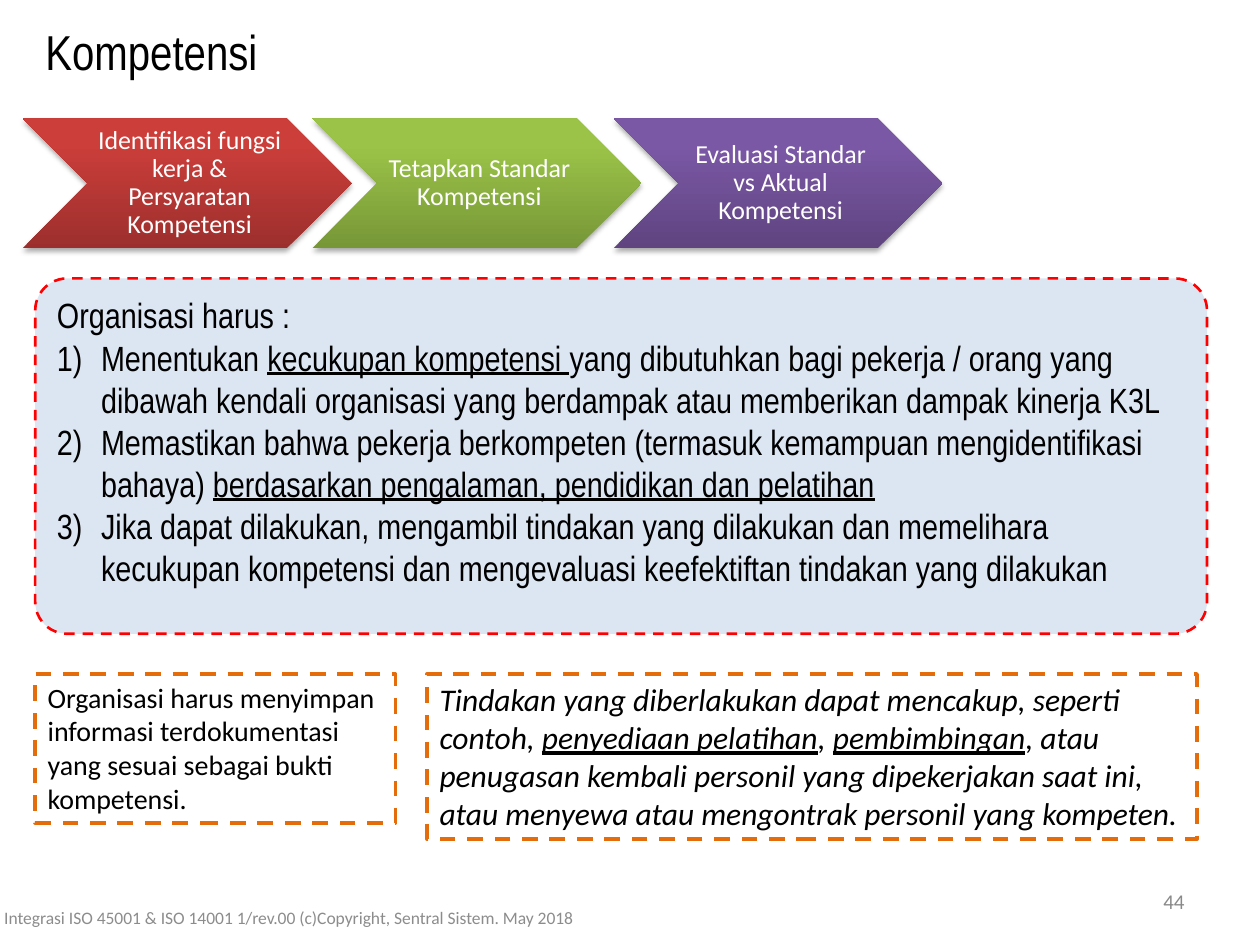
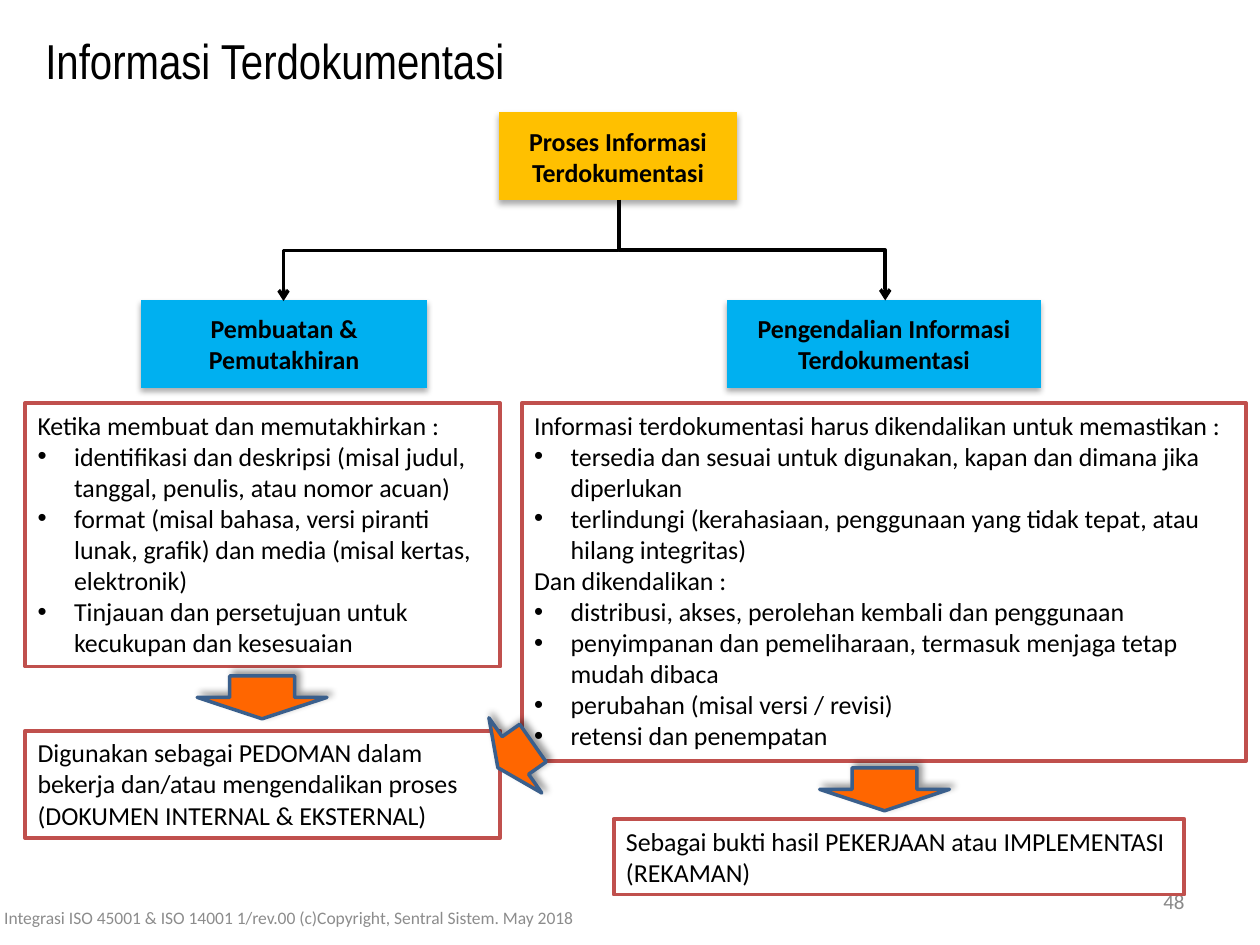
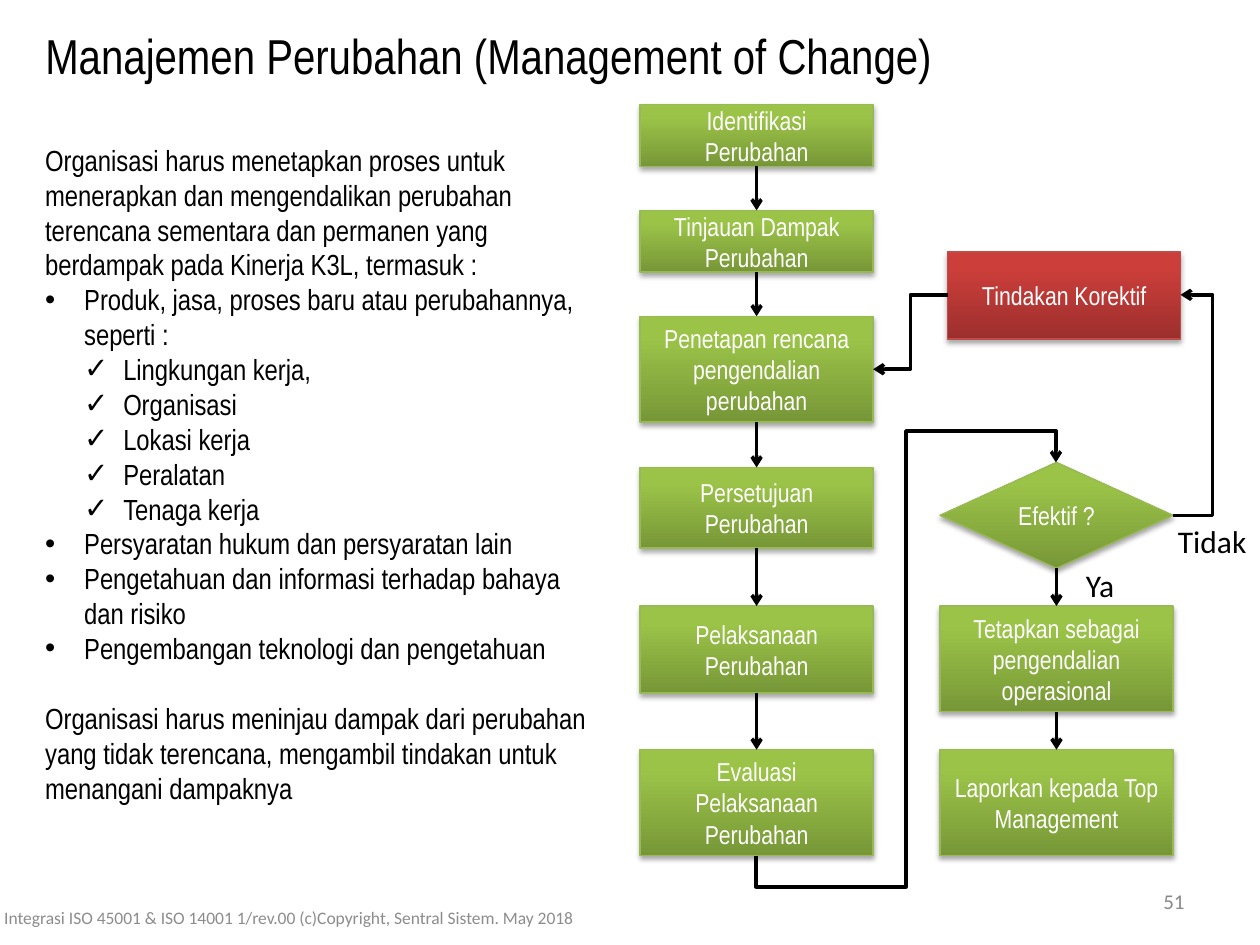
import lxml.etree
import pptx
import pptx.dml.color
import pptx.enum.dml
import pptx.enum.shapes
import pptx.enum.text
import pptx.oxml.ns
import pptx.util

PX = 9144  # EMU in one px, 100 px to the inch
SHAPE = pptx.enum.shapes.MSO_SHAPE
ALIGN = pptx.enum.text.PP_ALIGN
ANCHOR = pptx.enum.text.MSO_ANCHOR
DASH = pptx.enum.dml.MSO_LINE.DASH
rgb = pptx.dml.color.RGBColor.from_string
qn = pptx.oxml.ns.qn
sub = lxml.etree.SubElement

NARROW = "Arial Narrow"
BLACK, WHITE = "000000", "FFFFFF"
GREEN = ("779737", "9BC348")
RED = ("9C2F2D", "CB3E3A")
PURPLE = ("5F4480", "7B58A6")
SOFT_SHADOW = (35, 3.1, 1.8, 90)
HEAD_SHADOW = (32, 3.5, 2.2, 90)
ARROW_SHADOW = (40, 4, 3, 315)
FOOTER = "Integrasi ISO 45001 & ISO 14001 1/rev.00 (c)Copyright, Sentral Sistem. May 2018"


def add_box(s, kind, x, y, w, h, paras=(), size=14.8, font="Calibri", color=BLACK,
            align=ALIGN.LEFT, bold=None, italic=None, indent=29,
            fill=None, line=None, shadow=None):
    """Add a shape, or a text box if kind is None.

    A paragraph is a text or a (bullet, text) pair; _underscores_ underline.
    A pair of colours as fill makes a gradient from bottom to top.
    """
    box = [v * PX for v in (x, y, w, h)]
    if kind is None:
        sp = s.shapes.add_textbox(*box)
    else:
        sp = s.shapes.add_shape(kind, *box)
        sp.shadow.inherit = False
        if isinstance(fill, tuple):
            sp.fill.gradient()
            sp.fill.gradient_angle = 90
            for stop, position, shade in zip(sp.fill.gradient_stops, (0, 0.8), fill):
                stop.position = position
                stop.color.rgb = rgb(shade)
        elif fill:
            sp.fill.solid()
            sp.fill.fore_color.rgb = rgb(fill)
        else:
            sp.fill.background()
        if line:
            sp.line.color.rgb = rgb(line[0])
            sp.line.width = pptx.util.Pt(line[1])
        else:
            sp.line.fill.background()
    if shadow:
        alpha, blur, dist, angle = shadow
        effects = sp._element.spPr.find(qn("a:effectLst"))
        outer = sub(effects, qn("a:outerShdw"), blurRad=str(pptx.util.Pt(blur)),
                    dist=str(pptx.util.Pt(dist)), dir=str(angle * 60000), rotWithShape="0")
        shade = sub(outer, qn("a:srgbClr"), val=BLACK)
        sub(shade, qn("a:alpha"), val=str(alpha * 1000))

    tf = sp.text_frame
    tf.word_wrap = True
    tf.vertical_anchor = ANCHOR.TOP if align == ALIGN.LEFT else ANCHOR.MIDDLE
    for i, para in enumerate(paras):
        bullet, text = para if isinstance(para, tuple) else (None, para)
        p = tf.add_paragraph() if i else tf.paragraphs[0]
        p.alignment = align
        if bullet:
            pPr = p._p.get_or_add_pPr()
            pPr.set("marL", str(indent * PX * (2 if bullet == "✓" else 1)))
            pPr.set("indent", str(-indent * PX))
            if bullet == "1)":
                sub(pPr, qn("a:buAutoNum"), type="arabicParenR")
            else:
                sub(pPr, qn("a:buFont"), typeface="Arial")
                sub(pPr, qn("a:buChar"), char=bullet)
        for j, piece in enumerate(text.split("_")):
            if piece:
                r = p.add_run()
                r.text = piece
                if j % 2:
                    r.font.underline = True
        p.font.name = font
        p.font.size = pptx.util.Pt(size)
        p.font.color.rgb = rgb(color)
        p.font.bold = bold
        p.font.italic = italic
    return sp


def add_arrow(s, start=None, end=None, frame=(0, 0, 0, 0), rot=0, flip="", adj=()):
    """Join two shapes downwards, or draw an elbow in a frame, with bends at adj."""
    kinds = pptx.enum.shapes.MSO_CONNECTOR
    x, y, w, h = (v * PX for v in frame)
    c = s.shapes.add_connector(kinds.ELBOW if adj else kinds.STRAIGHT, x, y, x + w, y + h)
    spPr = c._element.spPr
    if adj:
        xfrm = spPr.find(qn("a:xfrm"))
        xfrm.set("rot", str(rot * 60000))
        for axis in flip:
            xfrm.set("flip" + axis, "1")
        geom = spPr.find(qn("a:prstGeom"))
        geom.set("prst", f"bentConnector{len(adj) + 2}")
        guides = geom.find(qn("a:avLst"))
        if guides is None:
            guides = sub(geom, qn("a:avLst"))
        for i, value in enumerate(adj, 1):
            sub(guides, qn("a:gd"), name=f"adj{i}", fmla=f"val {round(value * 100000)}")
    else:
        c.begin_connect(start, 2)
        c.end_connect(end, 0)
    c.line.color.rgb = rgb(BLACK)
    c.line.width = pptx.util.Pt(2)
    sub(c.line._get_or_add_ln(), qn("a:tailEnd"), type="arrow")
    sub(spPr, qn("a:effectLst"))


prs = pptx.Presentation()
prs.slide_width = 1000 * PX
prs.slide_height = 750 * PX

slides = []
for title, top, width, number in (
    ("Kompetensi", 12, 791, "44"),
    ("Informasi Terdokumentasi", 19, 791, "48"),
    ("Manajemen Perubahan (Management of Change)", 15, 974, "51"),
):
    s = prs.slides.add_slide(prs.slide_layouts[5])
    sp = s.shapes.title
    sp.left, sp.top, sp.width, sp.height = (v * PX for v in (26, top, width, 57))
    tf = sp.text_frame
    tf.text = title
    tf.auto_size = pptx.enum.text.MSO_AUTO_SIZE.NONE
    tf.vertical_anchor = ANCHOR.TOP
    p = tf.paragraphs[0]
    p.alignment = ALIGN.LEFT
    p.font.name = NARROW
    p.font.size = pptx.util.Pt(28)
    p.font.color.rgb = rgb(BLACK)
    add_box(s, None, 717, 695, 233, 40, [number], size=12, color="898989", align=ALIGN.RIGHT)
    add_box(s, None, -19, 708, 496, 40, [FOOTER], size=10, color="8C8C8C", align=ALIGN.CENTER)
    slides.append(s)
competence, documents, change = slides

# Kompetensi
s = competence
for x, fill, text in (
    (18, RED, "Identifikasi fungsi kerja & Persyaratan Kompetensi"),
    (248, GREEN, "Tetapkan Standar Kompetensi"),
    (487, PURPLE, "Evaluasi Standar vs Aktual Kompetensi"),
):
    sp = add_box(s, SHAPE.CHEVRON, x, 94, 261, 103, [text], color=WHITE,
                 align=ALIGN.CENTER, fill=fill, shadow=SOFT_SHADOW)
    tf = sp.text_frame
    tf.margin_left = 6 * PX
    tf.margin_right = tf.margin_top = tf.margin_bottom = 2 * PX
    tf.paragraphs[0].line_spacing = 0.9

duties = add_box(s, SHAPE.ROUNDED_RECTANGLE, 28, 221, 930, 282, [
    "Organisasi harus :",
    ("1)", "Menentukan _kecukupan kompetensi _yang dibutuhkan bagi pekerja / orang yang "
           "dibawah kendali organisasi yang berdampak atau memberikan dampak kinerja K3L"),
    ("1)", "Memastikan bahwa pekerja berkompeten (termasuk kemampuan mengidentifikasi "
           "bahaya) _berdasarkan pengalaman, pendidikan dan pelatihan_"),
    ("1)", "Jika dapat dilakukan, mengambil tindakan yang dilakukan dan memelihara "
           "kecukupan kompetensi dan mengevaluasi keefektiftan tindakan yang dilakukan"),
], size=20, font=NARROW, indent=35, fill="DCE6F2", line=("FF0000", 1.5))
duties.adjustments[0] = 0.09
actions = add_box(s, SHAPE.RECTANGLE, 339, 535, 611, 131, [
    "Tindakan yang diberlakukan dapat mencakup, seperti contoh, _penyediaan pelatihan_, "
    "_pembimbingan_, atau penugasan kembali personil yang dipekerjakan saat ini, atau "
    "menyewa atau mengontrak personil yang kompeten.",
], size=18, italic=True, line=("E46C0A", 2.25))
evidence = add_box(s, SHAPE.RECTANGLE, 28, 535, 286, 118, [
    "Organisasi harus menyimpan informasi terdokumentasi yang sesuai sebagai bukti kompetensi.",
], size=16, line=("E46C0A", 2.25))
for sp in (duties, actions, evidence):
    sp.line.dash_style = DASH

# Informasi Terdokumentasi
s = documents
for x, y, w, fill, text in (
    (112, 238, 227, "00B0F0", "Pembuatan & Pemutakhiran"),
    (396, 89, 189, "FFC000", "Proses Informasi Terdokumentasi"),
    (577, 238, 249, "00B0F0", "Pengendalian Informasi Terdokumentasi"),
):
    add_box(s, SHAPE.FLOWCHART_PROCESS, x, y, w, 70, [text], bold=True,
            align=ALIGN.CENTER, fill=fill, shadow=HEAD_SHADOW)
add_arrow(s, frame=(318, 66, 80, 266), rot=90, adj=[0.5])
add_arrow(s, frame=(557, 93, 80, 211), rot=270, flip="H", adj=[0.5])

for x, y, w, h, paras in (
    (20, 320, 377, 209, [
        "Ketika membuat dan memutakhirkan :",
        ("•", "identifikasi dan deskripsi (misal judul, tanggal, penulis, atau nomor acuan)"),
        ("•", "format (misal bahasa, versi piranti lunak, grafik) dan media (misal kertas, "
              "elektronik)"),
        ("•", "Tinjauan dan persetujuan untuk kecukupan dan kesesuaian"),
    ]),
    (20, 580, 377, 85, [
        "Digunakan sebagai PEDOMAN dalam bekerja dan/atau mengendalikan proses",
        "(DOKUMEN INTERNAL & EKSTERNAL)",
    ]),
    (414, 320, 575, 284, [
        "Informasi terdokumentasi harus dikendalikan untuk memastikan :",
        ("•", "tersedia dan sesuai untuk digunakan, kapan dan dimana jika diperlukan"),
        ("•", "terlindungi (kerahasiaan, penggunaan yang tidak tepat, atau hilang integritas)"),
        "Dan dikendalikan :",
        ("•", "distribusi, akses, perolehan kembali dan penggunaan"),
        ("•", "penyimpanan dan pemeliharaan, termasuk menjaga tetap mudah dibaca"),
        ("•", "perubahan (misal versi / revisi)"),
        ("•", "retensi dan penempatan"),
    ]),
    (487, 650, 453, 60, ["Sebagai bukti hasil PEKERJAAN atau IMPLEMENTASI (REKAMAN)"]),
):
    add_box(s, SHAPE.RECTANGLE, x, y, w, h, paras, line=("C0504D", 2.25))

for x, y, h, angle in ((191, 502, 103, 90), (685, 575, 103, 90), (392, 563, 73, 144.9)):
    sp = add_box(s, SHAPE.RIGHT_ARROW, x, y, 34, h, fill="FF6600",
                 line=("3A5F8C", 2), shadow=ARROW_SHADOW)
    sp.rotation = angle

# Manajemen Perubahan
s = change
sp = add_box(s, None, 26, 108, 455, 542, [
    "Organisasi harus menetapkan proses untuk menerapkan dan mengendalikan perubahan "
    "terencana sementara dan permanen yang berdampak pada Kinerja K3L, termasuk :",
    ("•", "Produk, jasa, proses baru atau perubahannya, seperti :"),
    ("✓", "Lingkungan kerja,"),
    ("✓", "Organisasi"),
    ("✓", "Lokasi kerja"),
    ("✓", "Peralatan"),
    ("✓", "Tenaga kerja"),
    ("•", "Persyaratan hukum dan persyaratan lain"),
    ("•", "Pengetahuan dan informasi terhadap bahaya dan risiko"),
    ("•", "Pengembangan teknologi dan pengetahuan"),
    "Organisasi harus meninjau dampak dari perubahan yang tidak terencana, mengambil "
    "tindakan untuk menangani dampaknya",
], size=16.6, font=NARROW, indent=31)
sp.text_frame.paragraphs[-1].space_before = pptx.util.Pt(20)

step_style = dict(font=NARROW, color=WHITE, align=ALIGN.CENTER, shadow=SOFT_SHADOW)
for x, steps in (
    (508, (
        (SHAPE.RECTANGLE, 83, 49, "Identifikasi Perubahan"),
        (SHAPE.RECTANGLE, 167, 49, "Tinjauan Dampak Perubahan"),
        (SHAPE.RECTANGLE, 251, 84, "Penetapan rencana pengendalian perubahan"),
        (SHAPE.RECTANGLE, 371, 64, "Persetujuan Perubahan"),
        (SHAPE.RECTANGLE, 481, 69, "Pelaksanaan Perubahan"),
        (SHAPE.RECTANGLE, 595, 84, "Evaluasi Pelaksanaan Perubahan"),
    )),
    (746, (
        (SHAPE.FLOWCHART_DECISION, 367, 84, "Efektif ?"),
        (SHAPE.RECTANGLE, 481, 84, "Tetapkan sebagai pengendalian operasional"),
        (SHAPE.RECTANGLE, 595, 84, "Laporkan kepada Top Management"),
    )),
):
    previous = None
    for kind, y, h, text in steps:
        step = add_box(s, kind, x, y, 185, h, [text], fill=GREEN,
                       line=("98B955", 0.75), **step_style)
        if previous:
            add_arrow(s, previous, step)
        previous = step
add_box(s, SHAPE.RECTANGLE, 752, 200, 185, 69, ["Tindakan Korektif"], fill=RED,
        line=("BF4C48", 0.75), **step_style)

add_arrow(s, frame=(563, 404, 312, 238), rot=90, flip="HV", adj=[-0.08, 0.5, 1.08])
add_arrow(s, frame=(931, 234, 6, 175), flip="V", adj=[5.25])
add_arrow(s, frame=(693, 234, 59, 59), rot=180, flip="V", adj=[0.5])
for x, y, w, answer in ((852, 444, 43, "Ya"), (925, 409, 75, "Tidak")):
    sp = add_box(s, None, x, y, w, 40, [answer], size=18)
    sp.text_frame.word_wrap = False

prs.save("out.pptx")
